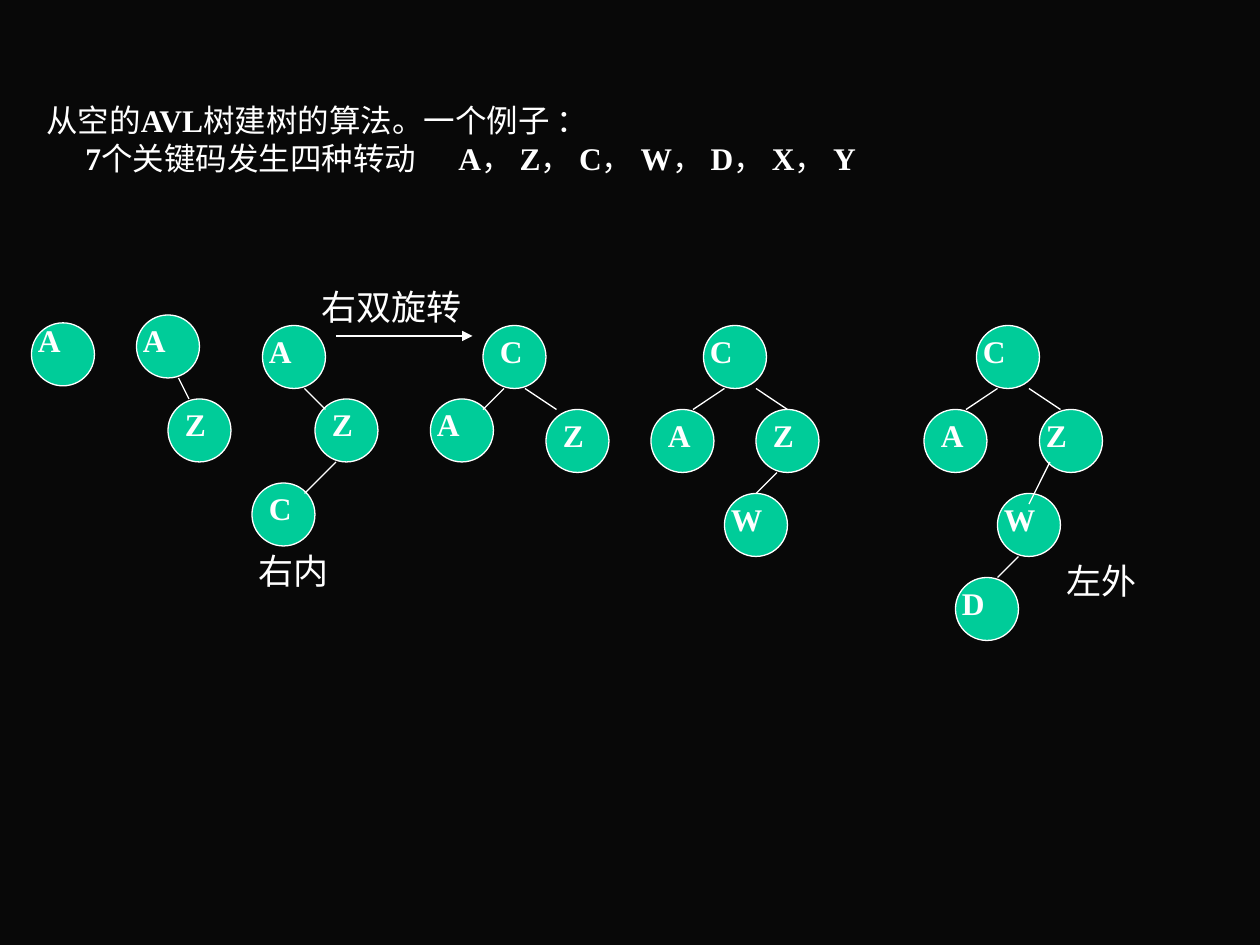
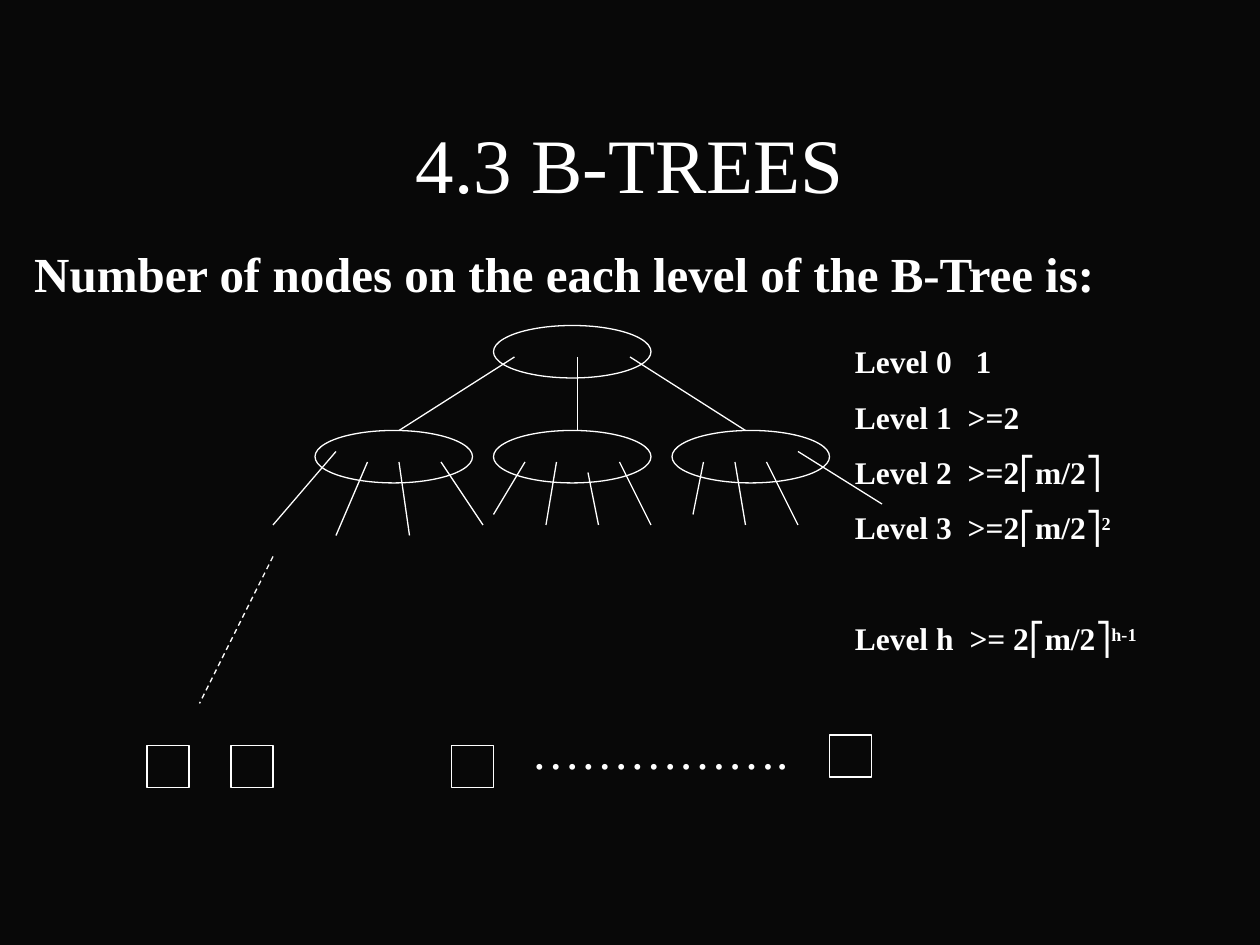
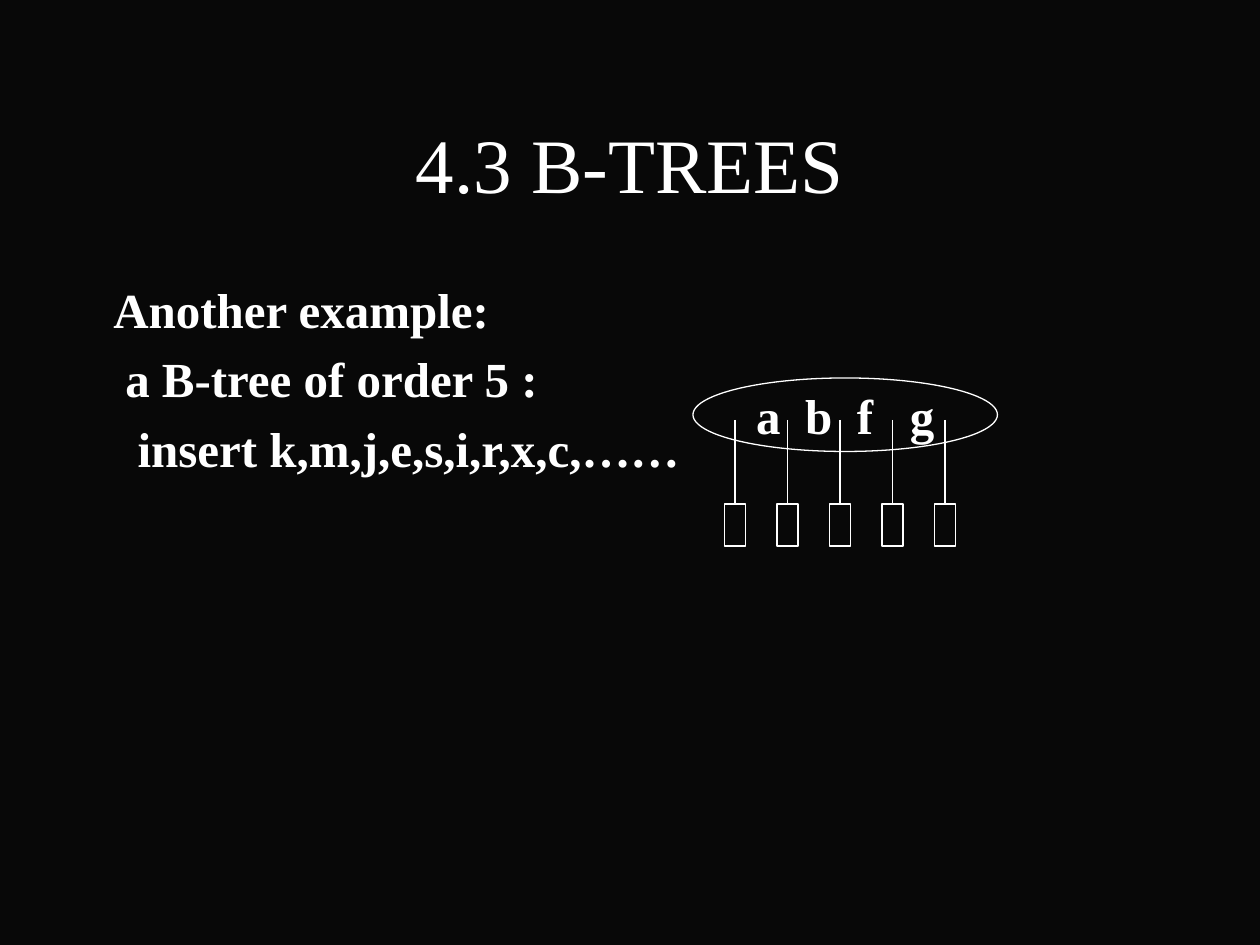
from itertools import groupby

from pptx import Presentation
from pptx import util as u
from pptx.dml.color import RGBColor
from pptx.enum import dml, shapes, text
from pptx.oxml.ns import qn
from lxml import etree

# Shared look
BLACK = RGBColor(0x08, 0x08, 0x08)
WHITE = RGBColor(0xFF, 0xFF, 0xFF)
GREEN = RGBColor(0x00, 0xCC, 0x99)
SERIF, SANS, CJK = "Times New Roman", "Arial", "Noto Sans CJK SC"
OVAL = shapes.MSO_SHAPE.OVAL
RECTANGLE = shapes.MSO_SHAPE.RECTANGLE
BOLD = dict(name=SERIF, bold=True)
PLAIN = dict(name=SERIF, bold=False)
CHINESE = dict(name=CJK, bold=False)
BRACKET = dict(name=SANS, bold=False)
INSET = u.Cm(0.13)
TITLE_AT = (9, 8, 102, 15)
TITLE = "4.3 B-TREES"

# Slide 1: text and indent (cm); all places below are in grid steps
INTRO_HEAD = "从空的AVL树建树的算法。一个例子 ："
INTRO_TASK, INTRO_KEYS = "7个关键码发生四种转动", "A， Z， C， W， D， X， Y"
TASK_INDENT = 0.79
NODE_SIZE = 6
# nodes: letter, x, y, letter shift right (and down); edges: x1, y1, x2, y2
AVL_TREES = [
    dict(nodes=[("A", 3, 30.75, 0, -0.75)], edges=[]),
    dict(nodes=[("A", 13, 30, 0), ("Z", 16, 38, 1)], edges=[(17, 36, 18, 38)]),
    dict(
        nodes=[("A", 25, 31, 0), ("Z", 30, 38, 1), ("C", 24, 46, 1),
               ("C", 46, 31, 1), ("A", 41, 38, 0), ("Z", 52, 39, 1)],
        edges=[(29, 37, 31, 39), (32, 44, 29, 47), (48, 37, 46, 39), (50, 37, 53, 39)],
        arrow=(32, 32, 45, 32),
        captions=[("右双旋转", 30, 26.6), ("右内", 24, 51.7)],
    ),
    dict(
        nodes=[("A", 62, 39, 1), ("C", 67, 31, 0), ("Z", 72, 39, 1), ("W", 69, 47, 0)],
        edges=[(69, 37, 66, 39), (72, 37, 75, 39), (74, 45, 72, 47)],
    ),
    dict(
        nodes=[("C", 93, 31, 0), ("A", 88, 39, 1), ("Z", 99, 39, 0),
               ("W", 95, 47, 0), ("D", 91, 55, 0)],
        edges=[(95, 37, 92, 39), (98, 37, 101, 39), (100, 44, 98, 48), (97, 53, 95, 55)],
        captions=[("左外", 101, 52.7)],
    ),
]

# Slide 2
LEVEL_HEADING = "Number of nodes on the each level of the B-Tree is:"
BTREE_NODES = [(47, 31), (30, 41), (47, 41), (64, 41)]
BTREE_EDGES = [
    (49, 34, 38, 41), (55, 34, 55, 41), (60, 34, 71, 41),
    (32, 43, 26, 50), (35, 44, 32, 51), (38, 44, 39, 51), (42, 44, 46, 50),
    (50, 44, 47, 49), (53, 44, 52, 50), (56, 45, 57, 50), (59, 44, 62, 50),
    (67, 44, 66, 49), (70, 44, 71, 50), (73, 44, 76, 50), (76, 43, 84, 48),
]
DOWN_TO_LEAVES = (26, 53, 19, 67)
LEAVES = [(14, 71), (22, 71), (43, 71), (79, 70)]
MORE_LEAVES = "……………."
# level, widening of the space (pt), count, ceiling term, exponent, space before (pt)
LEVELS = [
    ("Level 0", 9, "1", "", "", 10),
    ("Level 1", 4.5, ">=2", "", "", 10),
    ("Level 2", 4.5, ">=2", "m/2", "", 10),
    ("Level 3", 4.5, ">=2", "m/2", "2", 10),
    ("Level h", 4.5, ">= 2", "m/2", "h-1", 41.7),
]

# Slide 3: text and indent (cm); keys with widened spaces (pt) between them
EXAMPLE = [
    ("Another example:", 0.25),
    ("a B-tree of order 5 :", 0.49),
    ("insert k,m,j,e,s,i,r,x,c,……", 0.74),
]
KEY_SPANS = [("a", BOLD), (" ", BOLD, 7), ("b", BOLD), (" ", BOLD, 7),
             ("f", BOLD), (" ", BOLD, 14), ("g", BOLD)]
LEAF_COUNT, LEAF_GAP = 5, 5


def grid(steps):
    """Twelve steps to the inch."""
    return u.Cm(steps * 2.54 / 12)


def set_all(target, values):
    for name, value in values.items():
        setattr(target, name, value)


# Text
def setup_frame(frame, anchor=text.MSO_ANCHOR.TOP):
    set_all(frame, dict(
        word_wrap=True, auto_size=text.MSO_AUTO_SIZE.NONE, vertical_anchor=anchor,
        margin_left=INSET, margin_right=INSET, margin_top=INSET, margin_bottom=INSET))
    return frame


def write_para(frame, spans, size, before=0, left=0, first=0, align=text.PP_ALIGN.LEFT):
    """Fill the empty first paragraph, or add one, with (text, format[, widening]) spans."""
    para = frame.paragraphs[0]
    if para.runs:
        para = frame.add_paragraph()
    set_all(para, dict(alignment=align, space_before=u.Pt(before)))
    props = para._p.get_or_add_pPr()
    props.set("marL", str(u.Cm(left)))
    props.set("indent", str(u.Cm(first)))
    etree.SubElement(props, qn("a:buNone"))
    for words, style, *wider in spans:
        span = para.add_run()
        span.text = words
        set_all(span.font, dict(style, size=u.Pt(size)))
        span.font.color.rgb = WHITE
        etree.SubElement(span._r.rPr, qn("a:ea"), typeface=style["name"])
        if wider:
            span._r.rPr.set("spc", str(round(wider[0] * 100)))
    return para


def add_box(parent, x, y, width, height, anchor=text.MSO_ANCHOR.TOP):
    box = parent.add_textbox(*map(grid, (x, y, width, height)))
    return setup_frame(box.text_frame, anchor)


def fill_placeholder(holder, place, anchor=text.MSO_ANCHOR.TOP):
    set_all(holder, dict(zip(("left", "top", "width", "height"), map(grid, place))))
    return setup_frame(holder.text_frame, anchor)


def mixed_spans(words):
    """Latin letters and digits are bold serif, the rest Chinese."""
    return [("".join(part), BOLD if latin else CHINESE)
            for latin, part in groupby(words, lambda c: c.isascii() and c.isalnum())]


# Shapes
def style_line(line):
    line.color.rgb = WHITE
    line.width = u.Pt(0.75)


def add_outline(parent, kind, x, y, width, height, fill=None):
    shape = parent.add_shape(kind, *map(grid, (x, y, width, height)))
    shape.shadow.inherit = False
    if fill is None:
        shape.fill.background()
    else:
        shape.fill.solid()
        shape.fill.fore_color.rgb = fill
    style_line(shape.line)
    return shape


def add_edge(parent, ends, dashed=False, arrow=False):
    edge = parent.add_connector(shapes.MSO_CONNECTOR.STRAIGHT, *map(grid, ends))
    style_line(edge.line)
    if dashed:
        edge.line.dash_style = dml.MSO_LINE.DASH
    props = edge._element.spPr
    if arrow:
        etree.SubElement(props.find(qn("a:ln")), qn("a:tailEnd"), type="triangle")
    etree.SubElement(props, qn("a:effectLst"))
    return edge


def add_titled_slide(deck, body_at):
    page = deck.slides.add_slide(deck.slide_layouts[1])
    frame = fill_placeholder(page.shapes.title, TITLE_AT, text.MSO_ANCHOR.MIDDLE)
    write_para(frame, [(TITLE, PLAIN)], 44, align=text.PP_ALIGN.CENTER)
    return page, fill_placeholder(page.placeholders[1], body_at)


# Slides
def add_avl_tree(page, tree):
    group = page.shapes.add_group_shape().shapes
    for _, x, y, *_ in tree["nodes"]:
        add_outline(group, OVAL, x, y, NODE_SIZE, NODE_SIZE, GREEN)
    for ends in tree["edges"]:
        add_edge(group, ends)
    for letter, x, y, right, *down in tree["nodes"]:
        frame = add_box(group, x + right, y + sum(down), 5, 4.6)
        write_para(frame, [(letter, BOLD)], 18)
    for words, x, y in tree.get("captions", []):
        frame = add_box(group, x, y, 3.5 * len(words) + 1.2, 5.9)
        write_para(frame, [(words, CHINESE)], 20)
    if "arrow" in tree:
        add_edge(group, tree["arrow"], arrow=True)


def build_avl(deck):
    page = deck.slides.add_slide(deck.slide_layouts[6])
    frame = add_box(page.shapes, 3.8, 9, 78.7, 9.7)
    write_para(frame, mixed_spans(INTRO_HEAD), 18)
    task = mixed_spans(INTRO_TASK) + [(" ", CHINESE, 20)] + mixed_spans(INTRO_KEYS)
    write_para(frame, task, 18, first=TASK_INDENT)
    for tree in AVL_TREES:
        add_avl_tree(page, tree)


def build_levels(deck):
    page, body = add_titled_slide(deck, (0, 22.6, 122.4, 53.4))
    write_para(body, [(LEVEL_HEADING, BOLD)], 28, left=0.56)
    for x, y in BTREE_NODES:
        add_outline(page.shapes, OVAL, x, y, 15, 5)
    for ends in BTREE_EDGES:
        add_edge(page.shapes, ends)
    add_edge(page.shapes, DOWN_TO_LEAVES, dashed=True)
    for x, y in LEAVES:
        add_outline(page.shapes, RECTANGLE, x, y, 4, 4)
    write_para(add_box(page.shapes, 50, 68, 28, 6.4), [(MORE_LEAVES, PLAIN)], 28, before=16)

    # Node counts
    frame = add_box(page.shapes, 80.8, 32, 39.2, 37.2)
    for level, wider, count, term, power, before in LEVELS:
        spans = [(level, BOLD), (" ", BOLD, wider), (count, BOLD)]
        if term:
            spans += [("⎡", BRACKET), (term, BOLD), ("⎤", BRACKET)]
        if power:
            spans.append((power, BOLD))
        para = write_para(frame, spans, 18, before=before)
        if power:
            para.runs[-1]._r.rPr.set("baseline", "30000")


def build_example(deck):
    page, body = add_titled_slide(deck, (9, 26, 102, 54))
    for words, left in EXAMPLE:
        write_para(body, [(words, BOLD)], 28, before=6, left=left)

    # Root with its keys and leaves
    group = page.shapes.add_group_shape().shapes
    add_outline(group, OVAL, 66, 36, 29, 7)
    frame = add_box(group, 68.5, 36.3, 24, 6.4, text.MSO_ANCHOR.MIDDLE)
    write_para(frame, KEY_SPANS, 28, before=6, align=text.PP_ALIGN.CENTER)
    for index in range(LEAF_COUNT):
        x = 70 + index * LEAF_GAP
        leaf = add_outline(group, RECTANGLE, x - 1, 48, 2, 4)
        add_edge(group, (x, 40, x, 48)).end_connect(leaf, 0)


def main():
    deck = Presentation()
    deck.slide_width, deck.slide_height = grid(120), grid(90)
    backdrop = deck.slide_master.background.fill
    backdrop.solid()
    backdrop.fore_color.rgb = BLACK
    for build in (build_avl, build_levels, build_example):
        build(deck)
    deck.save("out.pptx")


if __name__ == "__main__":
    main()
